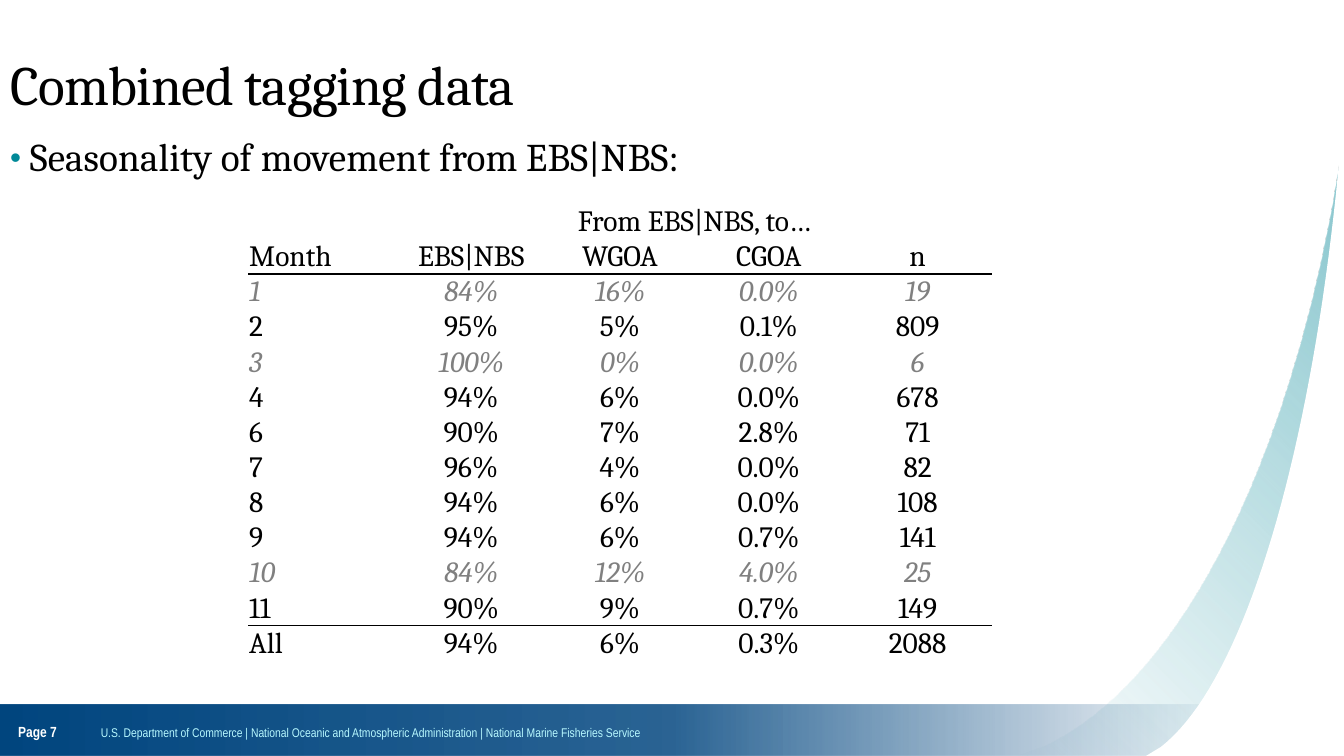
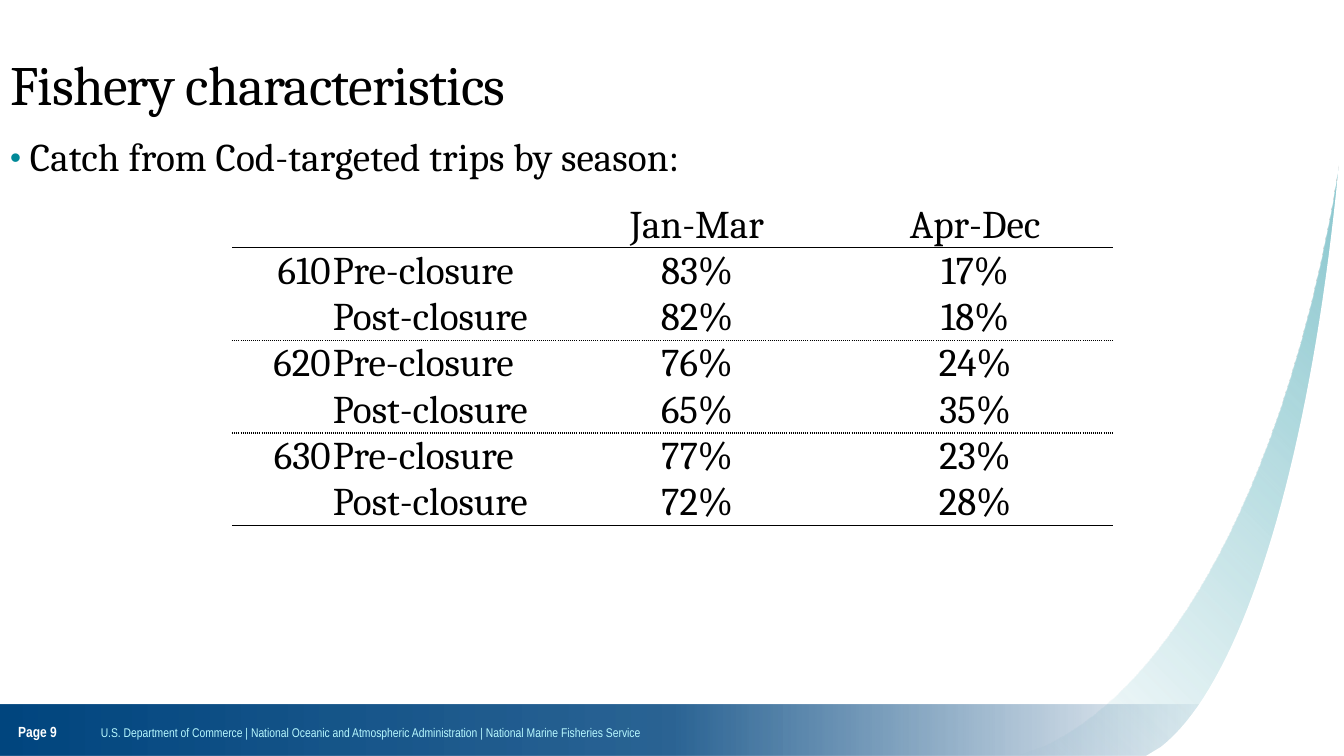
"""Build two slides on cod tagging and fishery seasons with a shared layout."""
from lxml import etree
from pptx import Presentation
from pptx.dml.color import RGBColor
from pptx.enum.shapes import MSO_SHAPE
from pptx.enum.text import MSO_ANCHOR, MSO_AUTO_SIZE, PP_ALIGN
from pptx.oxml import parse_xml
from pptx.oxml.ns import nsdecls, qn
from pptx.util import Cm, Pt

LEFT, CENTER, RIGHT = PP_ALIGN.LEFT, PP_ALIGN.CENTER, PP_ALIGN.RIGHT
MIDDLE, BOTTOM = MSO_ANCHOR.MIDDLE, MSO_ANCHOR.BOTTOM
NO_AUTOFIT = MSO_AUTO_SIZE.NONE
RECTANGLE = MSO_SHAPE.RECTANGLE

BLACK = RGBColor(0x00, 0x00, 0x00)
WHITE = RGBColor(0xFF, 0xFF, 0xFF)
GRAY = RGBColor(0x80, 0x80, 0x80)
TEAL = RGBColor(0x00, 0x89, 0x98)
SWOOSH = RGBColor(0x84, 0xC4, 0xCC)
NAVY = RGBColor(0x00, 0x46, 0x7F)
PALE_CYAN = RGBColor(0xB7, 0xF8, 0xFF)

SERIF, NARROW = "Cambria", "Arial Narrow"
WIDTH, HEIGHT = 33.87, 19.05
SMALL_SAMPLE = 30
PLAIN_TABLE_STYLE = "{2D5ABB26-0587-4C30-8999-92F81FD0307C}"

FOOTER = ("U.S. Department of Commerce | National Oceanic and Atmospheric "
          "Administration | National Marine Fisheries Service")

SWOOSH_CORNERS = [(WIDTH, 3.1), (WIDTH, HEIGHT), (25.63, HEIGHT)]
SWOOSH_CURVE = [(26.29, 18.82), (29.77, 17.22), (32.59, 11.53), (33.76, 4.06)]
CUTOUT_CORNERS = [(WIDTH, 2.77), (WIDTH, HEIGHT), (28.88, HEIGHT)]
CUTOUT_CURVE = [(29.26, 18.82), (31.37, 17.17), (33.1, 11.35), (33.78, 3.73)]

MONTHS = [
    ("1", "84%", "16%", "0.0%", 19),
    ("2", "95%", "5%", "0.1%", 809),
    ("3", "100%", "0%", "0.0%", 6),
    ("4", "94%", "6%", "0.0%", 678),
    ("6", "90%", "7%", "2.8%", 71),
    ("7", "96%", "4%", "0.0%", 82),
    ("8", "94%", "6%", "0.0%", 108),
    ("9", "94%", "6%", "0.7%", 141),
    ("10", "84%", "12%", "4.0%", 25),
    ("11", "90%", "9%", "0.7%", 149),
]

SLIDES = [
    {
        "title": "Combined tagging data",
        "bullet": "Seasonality of movement from EBS|NBS:",
        "page": 7,
        "rows": [
            ("", "From EBS|NBS, to…", "", "", ""),
            ("Month", "EBS|NBS", "WGOA", "CGOA", "n"),
            *MONTHS,
            ("All", "94%", "6%", "0.3%", 2088),
        ],
        "position": (6.25, 5.13),
        "columns": [3.75] * 5,
        "row_height": 0.88,
        "size": 21,
        "alignments": [LEFT] + [CENTER] * 4,
        "rules": {1: "solid", 11: "solid"},
        "merge": ((0, 1), (0, 4)),
    },
    {
        "title": "Fishery characteristics",
        "bullet": "Catch from Cod-targeted trips by season:",
        "page": 9,
        "rows": [
            ("", "", "Jan-Mar", "Apr-Dec"),
            ("610", "Pre-closure", "83%", "17%"),
            ("", "Post-closure", "82%", "18%"),
            ("620", "Pre-closure", "76%", "24%"),
            ("", "Post-closure", "65%", "35%"),
            ("630", "Pre-closure", "77%", "23%"),
            ("", "Post-closure", "72%", "28%"),
        ],
        "position": (5.85, 5.08),
        "columns": [2.51, 5.66, 7.09, 6.93],
        "row_height": 1.16,
        "size": 28,
        "alignments": [RIGHT, LEFT, CENTER, CENTER],
        "rules": {0: "solid", 2: "sysDot", 4: "sysDot", 6: "solid"},
        "merge": None,
    },
]


def write(paragraph, text, *, size, font=SERIF, color=BLACK, bold=False,
          italic=False, align=LEFT, spacing=None):
    paragraph.alignment = align
    run = paragraph.add_run()
    run.text = text
    run.font.size = Pt(size)
    run.font.name = font
    run.font.color.rgb = color
    run.font.bold = bold
    run.font.italic = italic
    if spacing is not None:
        run._r.get_or_add_rPr().set("spc", str(round(spacing * 100)))


def place(shape, left, top, width, height):
    shape.left, shape.top = Cm(left), Cm(top)
    shape.width, shape.height = Cm(width), Cm(height)


def add_label(slide, text, left, top, width, height, **style):
    label = slide.shapes.add_textbox(Cm(left), Cm(top), Cm(width), Cm(height))
    frame = label.text_frame
    frame.word_wrap = True
    frame.vertical_anchor = MIDDLE
    frame.margin_left = frame.margin_right = 0
    frame.margin_top = frame.margin_bottom = 0
    write(frame.paragraphs[0], text, font=NARROW, **style)
    return label


def strip_style(shape):
    shape.shadow.inherit = False
    shape.line.fill.background()


def fade(shape, color, stops, angle):
    shape.fill.background()
    stop_xml = "".join(
        f'<a:gs pos="{position * 1000}"><a:srgbClr val="{color}">'
        f'<a:alpha val="{opacity * 1000}"/></a:srgbClr></a:gs>'
        for position, opacity in stops)
    gradient = parse_xml(
        f'<a:gradFill {nsdecls("a")} rotWithShape="1"><a:gsLst>{stop_xml}</a:gsLst>'
        f'<a:lin ang="{angle * 60000}" scaled="0"/></a:gradFill>')
    properties = shape.element.spPr
    properties.replace(properties.find(qn("a:noFill")), gradient)


def curve_points(controls, steps=40):
    for step in range(steps + 1):
        t = step / steps
        weights = ((1 - t) ** 3, 3 * t * (1 - t) ** 2, 3 * t ** 2 * (1 - t), t ** 3)
        yield tuple(sum(weight * point[axis] for weight, point in zip(weights, controls))
                    for axis in (0, 1))


def add_swoosh(slide, corners, curve):
    start, *others = [(Cm(x), Cm(y)) for x, y in [*corners, *curve_points(curve)]]
    builder = slide.shapes.build_freeform(*start)
    builder.add_line_segments(others, close=True)
    shape = builder.convert_to_shape()
    strip_style(shape)
    return shape


def prepare_layout(layout):
    for placeholder in list(layout.placeholders):
        index = placeholder.placeholder_format.idx
        if index == 0:
            place(placeholder, 0, 1.27, 30.48, 1.88)
        elif index == 1:
            place(placeholder, 0, 3.3, 32.74, 12.57)
        else:
            placeholder.element.getparent().remove(placeholder.element)


def decorate_layout(layout, slide):
    swoosh = add_swoosh(slide, SWOOSH_CORNERS, SWOOSH_CURVE)
    fade(swoosh, SWOOSH, [(0, 0), (99, 100)], 315)
    band = slide.shapes.add_shape(RECTANGLE, 0, Cm(17.75), Cm(30.96), Cm(1.3))
    strip_style(band)
    fade(band, NAVY, [(0, 0), (45, 83), (100, 100)], 180)
    footer = add_label(slide, FOOTER, 2.54, 17.7, 24.82, 1.5, size=9, color=PALE_CYAN)
    cutout = add_swoosh(slide, CUTOUT_CORNERS, CUTOUT_CURVE)
    cutout.fill.solid()
    cutout.fill.fore_color.rgb = WHITE
    for shape in (swoosh, band, footer, cutout):
        layout.element.cSld.spTree.append(shape.element)


def add_bullet(paragraph):
    properties = paragraph._p.get_or_add_pPr()
    properties.set("marL", str(Cm(0.5)))
    properties.set("indent", str(-Cm(0.5)))
    color = etree.SubElement(properties, qn("a:buClr"))
    etree.SubElement(color, qn("a:srgbClr"), val=str(TEAL))
    etree.SubElement(properties, qn("a:buSzPct"), val="80000")
    etree.SubElement(properties, qn("a:buFont"), typeface="Arial")
    etree.SubElement(properties, qn("a:buChar"), char="•")


def fill_placeholders(slide, title, bullet):
    heading, body = slide.shapes.title.text_frame, slide.placeholders[1].text_frame
    heading.auto_size = body.auto_size = NO_AUTOFIT
    heading.vertical_anchor = MIDDLE
    heading.paragraphs[0].line_spacing = 0.9
    write(heading.paragraphs[0], title, size=39.6, spacing=-0.5)
    item = body.paragraphs[0]
    add_bullet(item)
    item.line_spacing = 0.95
    item.space_before, item.space_after = Pt(0), Pt(2)
    write(item, bullet, size=28, spacing=0.1)


def underline(cell, dash):
    border = parse_xml(
        f'<a:lnB {nsdecls("a")} w="{Pt(1)}"><a:solidFill><a:srgbClr val="{BLACK}"/>'
        f'</a:solidFill><a:prstDash val="{dash}"/></a:lnB>')
    cell._tc.get_or_add_tcPr().insert(0, border)


def add_data_table(slide, content):
    rows, columns = content["rows"], content["columns"]
    row_height = Cm(content["row_height"])
    left, top = content["position"]
    frame = slide.shapes.add_table(len(rows), len(columns), Cm(left), Cm(top),
                                   Cm(sum(columns)), row_height * len(rows))
    frame.element.find(".//" + qn("a:tableStyleId")).text = PLAIN_TABLE_STYLE
    table = frame.table
    table.first_row = table.horz_banding = False
    for column, width in zip(table.columns, columns):
        column.width = Cm(width)
    for row_index, values in enumerate(rows):
        table.rows[row_index].height = row_height
        dim = isinstance(values[-1], int) and values[-1] < SMALL_SAMPLE
        for column_index, value in enumerate(values):
            cell = table.cell(row_index, column_index)
            cell.fill.background()
            cell.vertical_anchor = BOTTOM
            cell.margin_left = cell.margin_right = cell.margin_top = Cm(0.03)
            cell.margin_bottom = 0
            if value != "":
                write(cell.text_frame.paragraphs[0], str(value), size=content["size"],
                      color=GRAY if dim else BLACK, italic=dim,
                      align=content["alignments"][column_index])
            if row_index in content["rules"]:
                underline(cell, content["rules"][row_index])
    if content["merge"]:
        first, last = content["merge"]
        table.cell(*first).merge(table.cell(*last))


def main():
    presentation = Presentation()
    presentation.slide_width, presentation.slide_height = Cm(WIDTH), Cm(HEIGHT)
    layout = presentation.slide_layouts[1]
    prepare_layout(layout)
    for number, content in enumerate(SLIDES):
        slide = presentation.slides.add_slide(layout)
        if number == 0:
            decorate_layout(layout, slide)
        fill_placeholders(slide, content["title"], content["bullet"])
        add_data_table(slide, content)
        add_label(slide, f"Page {content['page']}", 0.46, 17.65, 2.08, 1.55,
                  size=10.5, color=WHITE, bold=True)
    presentation.save("out.pptx")


if __name__ == "__main__":
    main()
